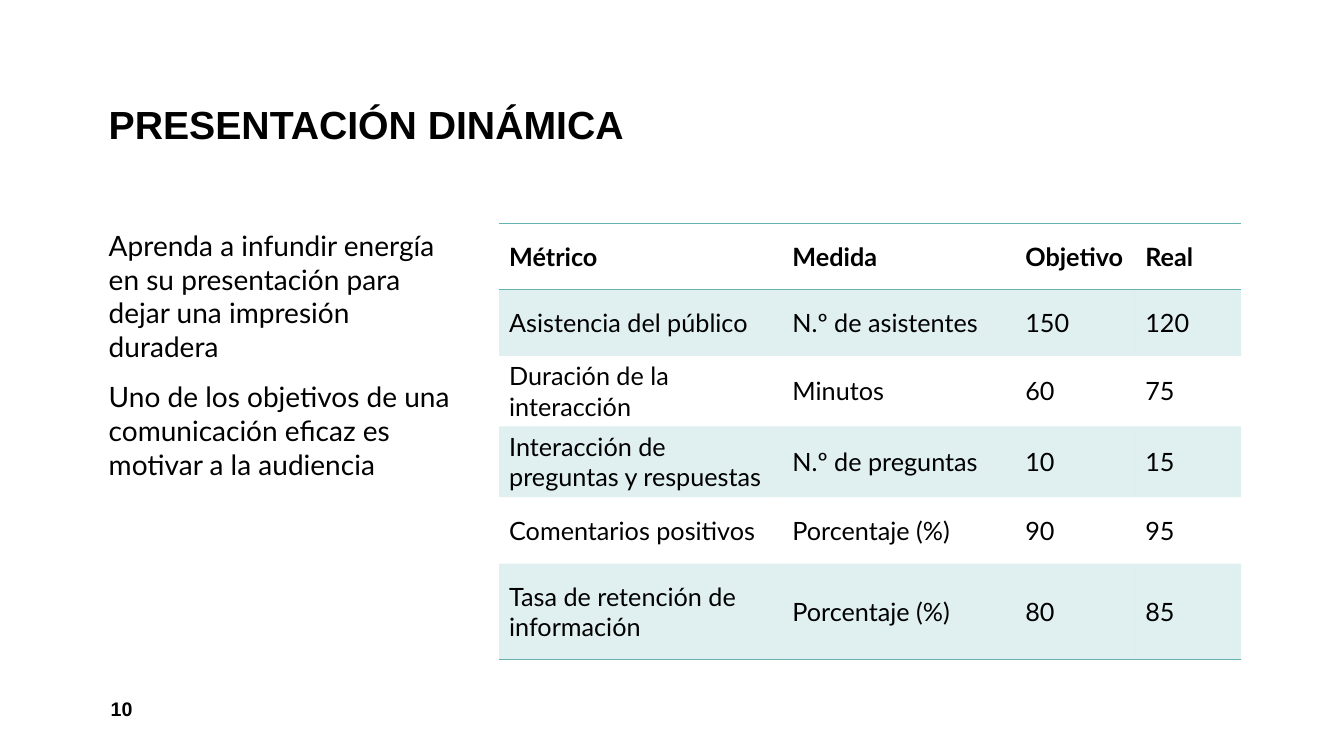
from dataclasses import dataclass

from lxml import etree
from pptx import Presentation
from pptx.dml.color import RGBColor
from pptx.enum.text import MSO_ANCHOR
from pptx.oxml.ns import qn
from pptx.util import Inches, Pt

TOP, MIDDLE, BOTTOM = MSO_ANCHOR.TOP, MSO_ANCHOR.MIDDLE, MSO_ANCHOR.BOTTOM
PLAIN_STYLE = "{2D5ABB26-0587-4C30-8999-92F81FD0307C}"  # no style, no grid


@dataclass(frozen=True)
class Theme:
    ink: str = "000000"
    accent: str = "66B2B0"
    band_alpha: int = 20
    heading_font: str = "Arial"
    body_font: str = "Lato"
    title_size: int = 28
    body_size: int = 20
    table_size: int = 18
    number_size: int = 14


THEME = Theme()

TITLE = "PRESENTACIÓN DINÁMICA"
MESSAGES = [
    "Aprenda a infundir energía en su presentación para dejar una impresión duradera",
    "Uno de los objetivos de una comunicación eficaz es motivar a la audiencia",
]
METRICS = [
    ("Métrico", "Medida", "Objetivo", "Real"),
    ("Asistencia del público", "N.º de asistentes", "150", "120"),
    ("Duración de la interacción", "Minutos", "60", "75"),
    ("Interacción de preguntas y respuestas", "N.º de preguntas", "10", "15"),
    ("Comentarios positivos", "Porcentaje (%)", "90", "95"),
    ("Tasa de retención de información", "Porcentaje (%)", "80", "85"),
]
COL_WIDTHS = [2.81, 2.31, 1.19, 1.05]
ROW_HEIGHTS = [0.65, 0.66, 0.66, 0.66, 0.66, 0.95]


def add_run(p, text, size, font, bold=False):
    r = p.add_run()
    r.text = text
    r.font.size = Pt(size)
    r.font.name = font
    r.font.bold = bold
    r.font.color.rgb = RGBColor.from_string(THEME.ink)


def add_text(s, box, texts, size, font, bold=False, anchor=TOP, spacing=1.0, after=0):
    tf = s.shapes.add_textbox(*map(Inches, box)).text_frame
    tf.word_wrap = True
    tf.vertical_anchor = anchor
    for i, text in enumerate(texts):
        p = tf.add_paragraph() if i else tf.paragraphs[0]
        p.line_spacing = spacing
        p.space_after = Pt(after)
        add_run(p, text, size, font, bold)


def add_border(cell, side):
    """Draw one side of a cell; call before the cell is filled."""
    ln = etree.SubElement(cell._tc.get_or_add_tcPr(), qn(f"a:{side}"), w=str(Pt(1)))
    fill = etree.SubElement(ln, qn("a:solidFill"))
    etree.SubElement(fill, qn("a:srgbClr"), val=THEME.accent)


def fill_band(cell):
    cell.fill.solid()
    cell.fill.fore_color.rgb = RGBColor.from_string(THEME.accent)
    color = cell._tc.tcPr.find(f".//{qn('a:solidFill')}[last()]/{qn('a:srgbClr')}")
    color = cell._tc.tcPr.findall(qn("a:solidFill"))[0][0]
    etree.SubElement(color, qn("a:alpha"), val=str(THEME.band_alpha * 1000))


def add_metrics_table(s, box):
    table = s.shapes.add_table(len(METRICS), len(COL_WIDTHS), *map(Inches, box)).table
    table.horz_banding = False
    table._tbl.tblPr.find(qn("a:tableStyleId")).text = PLAIN_STYLE
    for column, width in zip(table.columns, COL_WIDTHS):
        column.width = Inches(width)
    for row, height in zip(table.rows, ROW_HEIGHTS):
        row.height = Inches(height)

    last = len(METRICS) - 1
    for i, values in enumerate(METRICS):
        for j, value in enumerate(values):
            cell = table.cell(i, j)
            cell.vertical_anchor = MIDDLE
            add_run(cell.text_frame.paragraphs[0], value, THEME.table_size,
                    THEME.body_font, bold=i == 0)
            # Rules above and below the header and under the last row
            if i == 0:
                add_border(cell, "lnT")
            if i in (0, last):
                add_border(cell, "lnB")
            # Tint every other row
            if i % 2:
                fill_band(cell)
            else:
                cell.fill.background()


def build_slide(prs):
    s = prs.slides.add_slide(prs.slide_layouts[6])
    # Title
    add_text(s, (0.98, 0.15, 6.75, 1.37), [TITLE], THEME.title_size,
             THEME.heading_font, bold=True, anchor=BOTTOM, spacing=0.9)
    # Messages on the left
    add_text(s, (0.98, 2.22, 3.62, 4.27), MESSAGES, THEME.body_size,
             THEME.body_font, after=12)
    # Metrics on the right
    add_metrics_table(s, (4.95, 2.22, 7.35, 4.32))
    # Slide number
    add_text(s, (1, 6.83, 1.3, 0.4), ["10"], THEME.number_size,
             THEME.heading_font, bold=True, anchor=MIDDLE)


def main():
    prs = Presentation()
    prs.slide_width, prs.slide_height = Inches(13.33), Inches(7.5)
    build_slide(prs)
    prs.save("out.pptx")


if __name__ == "__main__":
    main()
